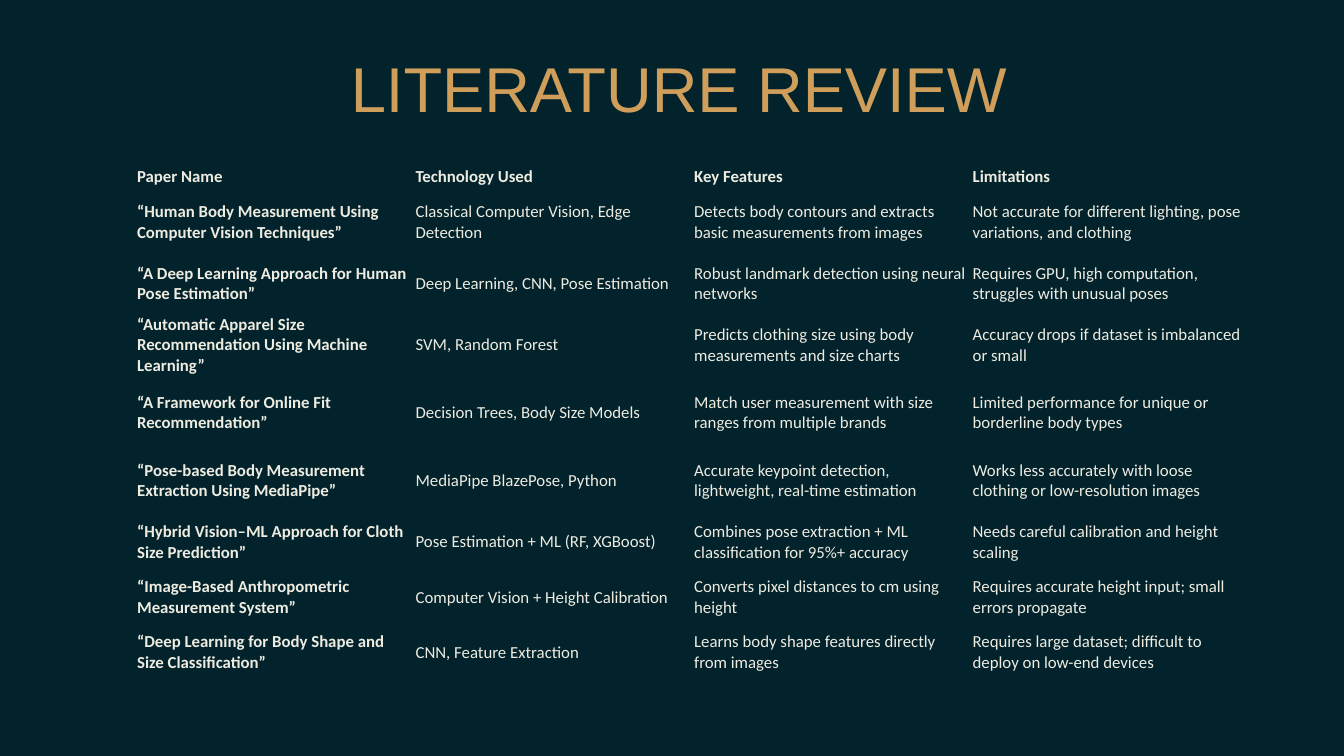
import pptx
import pptx.dml.color
import pptx.enum.text
import pptx.oxml.ns
import pptx.util
from pptx.util import Inches

COLORS = {"background": "03232C", "title": "D09E5B", "text": "EEECE1"}
NO_STYLE_NO_GRID = "{2D5ABB26-0587-4C30-8999-92F81FD0307C}"
ROW_HEIGHTS = [0.34, 1.01, 0.82, 1.01, 1.01, 1.01, 0.82, 0.82, 0.82]
PAPERS = [
    ["Paper Name", "Technology Used", "Key Features", "Limitations"],
    ["“Human Body Measurement Using Computer Vision Techniques”",
     "Classical Computer Vision, Edge Detection",
     "Detects body contours and extracts basic measurements from images",
     "Not accurate for different lighting, pose variations, and clothing"],
    ["“A Deep Learning Approach for Human Pose Estimation”",
     "Deep Learning, CNN, Pose Estimation",
     "Robust landmark detection using neural networks",
     "Requires GPU, high computation, struggles with unusual poses"],
    ["“Automatic Apparel Size Recommendation Using Machine Learning”",
     "SVM, Random Forest",
     "Predicts clothing size using body measurements and size charts",
     "Accuracy drops if dataset is imbalanced or small"],
    ["“A Framework for Online Fit Recommendation”",
     "Decision Trees, Body Size Models",
     "Match user measurement with size ranges from multiple brands",
     "Limited performance for unique or borderline body types"],
    ["“Pose-based Body Measurement Extraction Using MediaPipe”",
     "MediaPipe BlazePose, Python",
     "Accurate keypoint detection, lightweight, real-time estimation",
     "Works less accurately with loose clothing or low-resolution images"],
    ["“Hybrid Vision–ML Approach for Cloth Size Prediction”",
     "Pose Estimation + ML (RF, XGBoost)",
     "Combines pose extraction + ML classification for 95%+ accuracy",
     "Needs careful calibration and height scaling"],
    ["“Image-Based Anthropometric Measurement System”",
     "Computer Vision + Height Calibration",
     "Converts pixel distances to cm using height",
     "Requires accurate height input; small errors propagate"],
    ["“Deep Learning for Body Shape and Size Classification”",
     "CNN, Feature Extraction",
     "Learns body shape features directly from images",
     "Requires large dataset; difficult to deploy on low-end devices"],
]


def rgb(name):
    return pptx.dml.color.RGBColor.from_string(COLORS[name])


def set_attrs(obj, values):
    for name, value in values.items():
        setattr(obj, name, value)


def add_run(p, text, color, **font):
    r = p.add_run()
    r.text = text
    set_attrs(r.font, font)
    r.font.color.rgb = rgb(color)


def place_title(sp, left, top, width, height):
    set_attrs(sp, {"left": left, "top": top, "width": width, "height": height})
    tf = sp.text_frame
    set_attrs(tf, {
        "margin_left": 0, "margin_right": 0, "margin_top": 0, "margin_bottom": 0,
        "word_wrap": True,
        "vertical_anchor": pptx.enum.text.MSO_ANCHOR.TOP,
        "auto_size": pptx.enum.text.MSO_AUTO_SIZE.SHAPE_TO_FIT_TEXT})
    p = tf.paragraphs[0]
    set_attrs(p, {"alignment": pptx.enum.text.PP_ALIGN.LEFT,
                  "space_before": pptx.util.Pt(0),
                  "line_spacing": pptx.util.Pt(94.9)})
    add_run(p, "LITERATURE REVIEW", "title", name="Arial", size=pptx.util.Pt(67.8))


def add_review_table(s, left, top, width, height):
    n_cols = len(PAPERS[0])
    table = s.shapes.add_table(len(PAPERS), n_cols, left, top, width, height).table
    set_attrs(table, {"first_row": False, "horz_banding": False})
    # Plain table style, so that no grid lines show
    tag = pptx.oxml.ns.qn("a:tableStyleId")
    table._tbl.tblPr.find(tag).text = NO_STYLE_NO_GRID

    for column in table.columns:
        column.width = int(width / n_cols)
    for row, row_height in zip(table.rows, ROW_HEIGHTS):
        row.height = Inches(row_height)

    cell_format = {
        "margin_left": Inches(0.04), "margin_right": Inches(0.04),
        "margin_top": Inches(0.02), "margin_bottom": Inches(0.02),
        "vertical_anchor": pptx.enum.text.MSO_ANCHOR.MIDDLE}
    for i, paper in enumerate(PAPERS):
        for j, text in enumerate(paper):
            cell = table.cell(i, j)
            set_attrs(cell, cell_format)
            cell.fill.background()
            # Header row and paper names are bold
            add_run(cell.text_frame.paragraphs[0], text, "text", name="Calibri",
                    size=pptx.util.Pt(18), bold=i == 0 or j == 0)


def main():
    prs = pptx.Presentation()
    set_attrs(prs, {"slide_width": Inches(20), "slide_height": Inches(11.25)})
    s = prs.slides.add_slide(prs.slide_layouts.get_by_name("Title Only"))
    s.background.fill.solid()
    s.background.fill.fore_color.rgb = rgb("background")

    place_title(s.shapes.title, Inches(5.22), Inches(0.55), Inches(12.1), Inches(1.41))
    add_review_table(s, Inches(2), Inches(2.46), Inches(16.58), Inches(sum(ROW_HEIGHTS)))
    prs.save("out.pptx")


if __name__ == "__main__":
    main()
